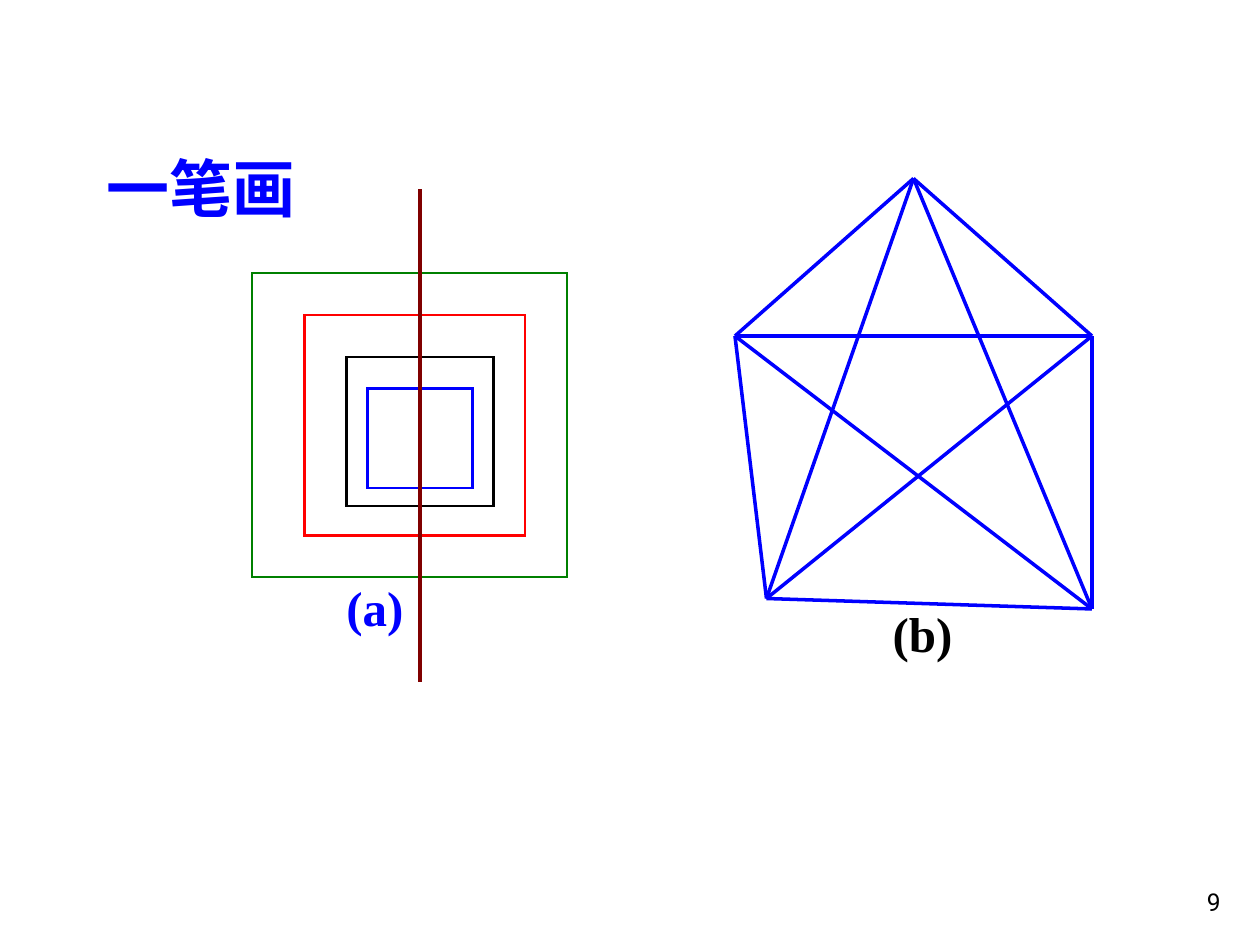
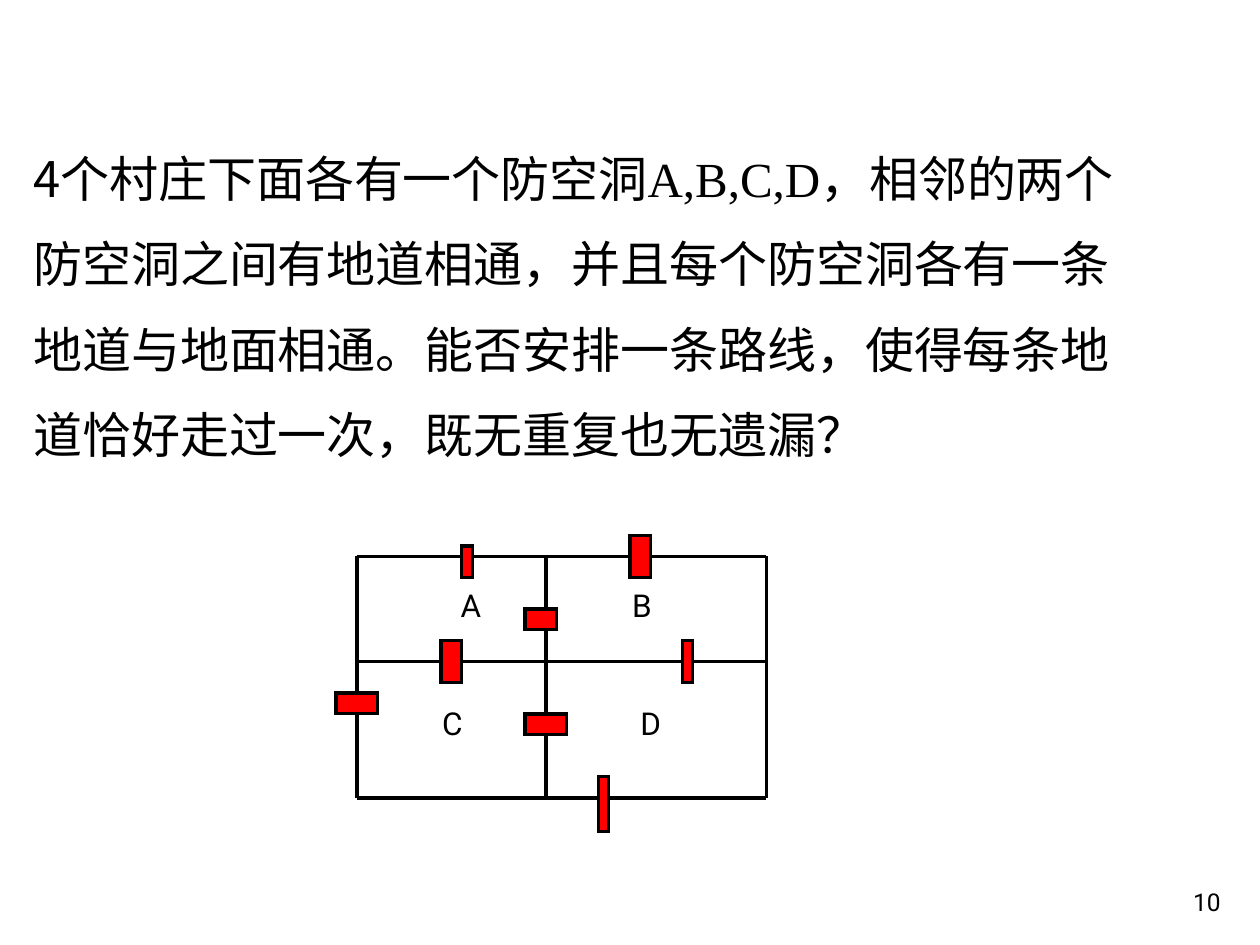
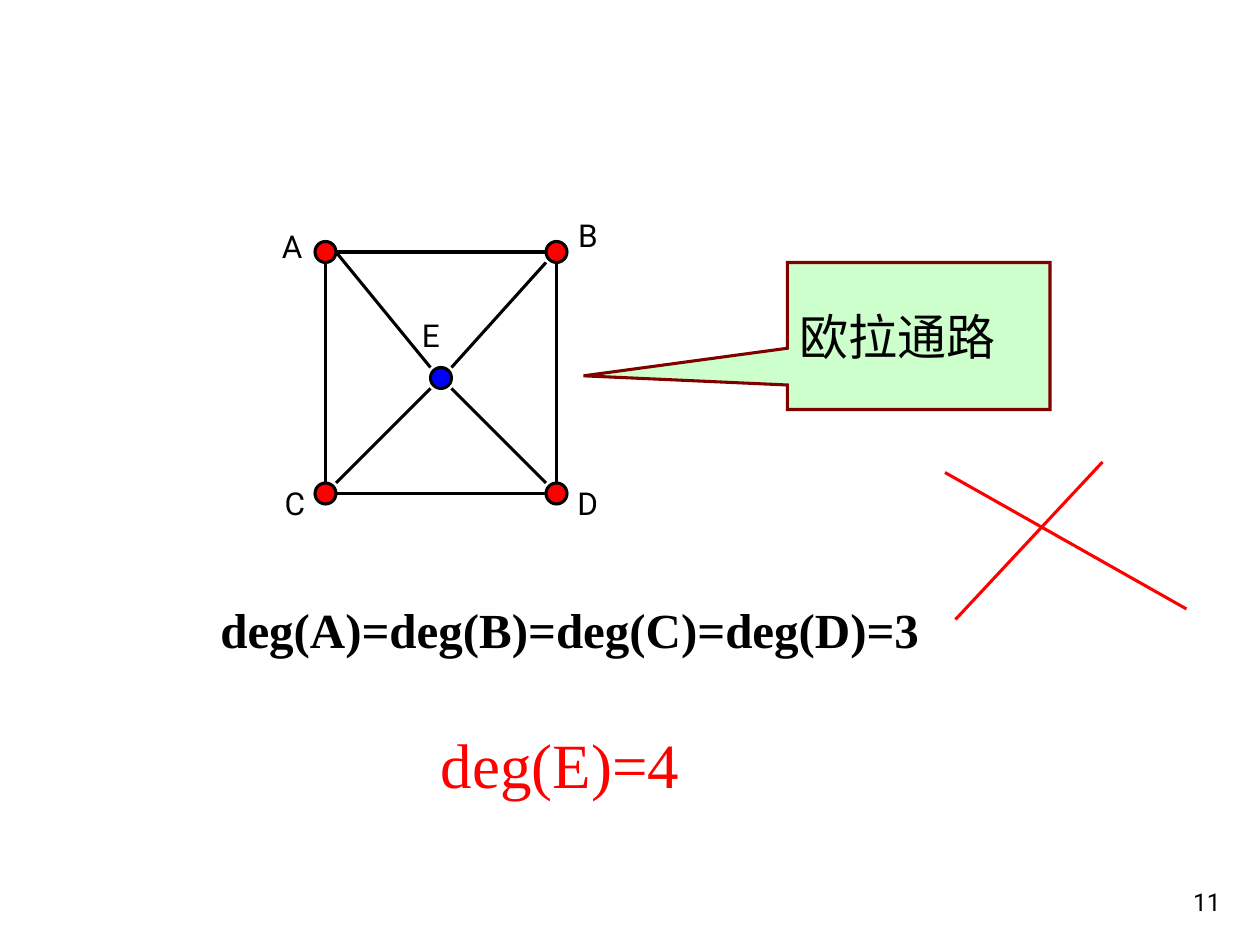
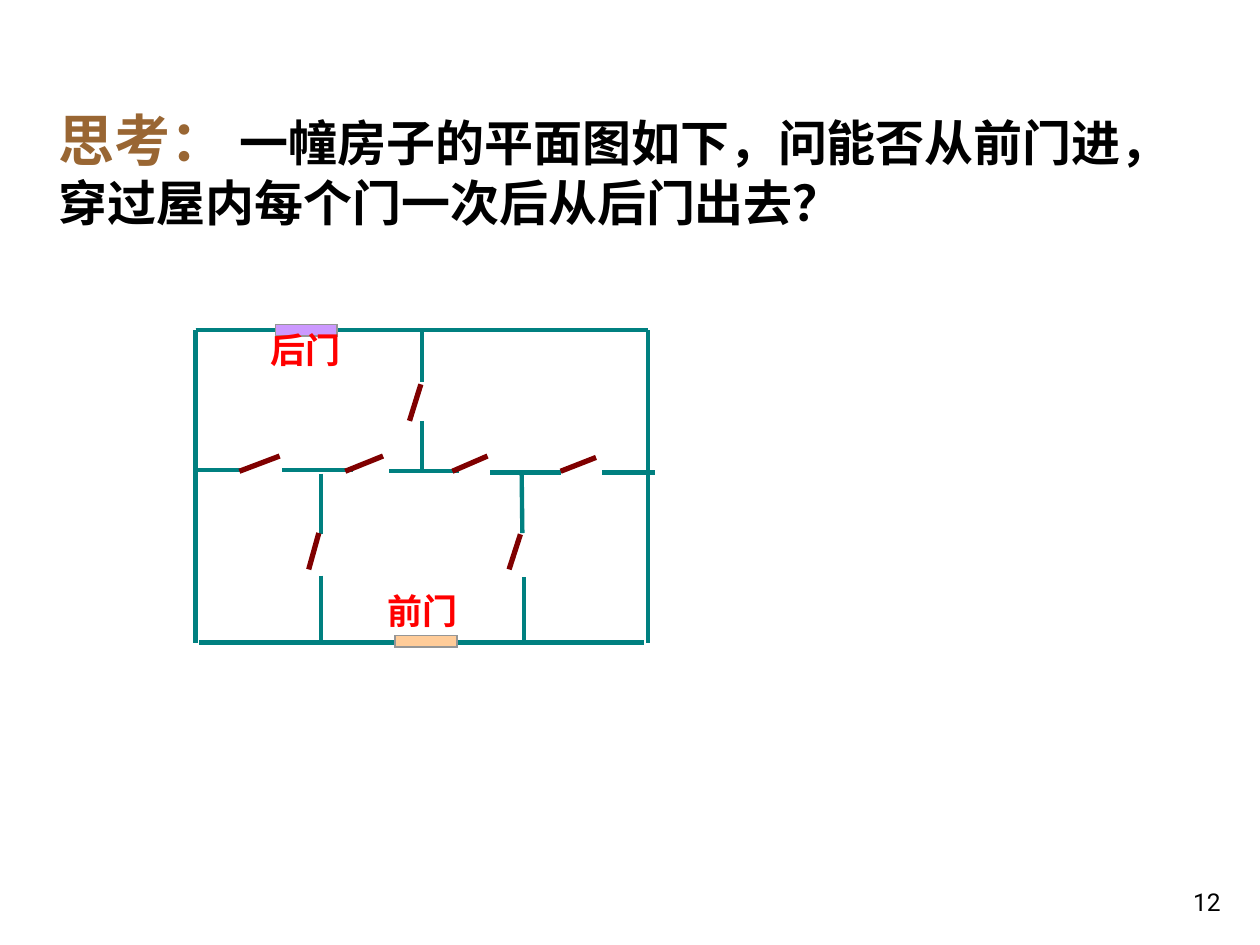
from itertools import combinations

from lxml.etree import SubElement
from pptx import Presentation
from pptx.dml.color import RGBColor
from pptx.enum.shapes import MSO_CONNECTOR, MSO_SHAPE as SHAPE
from pptx.enum.text import MSO_ANCHOR as ANCHOR, PP_ALIGN as ALIGN
from pptx.oxml.ns import qn
from pptx.util import Pt

COLORS = {
    "black": "000000", "blue": "0000FF", "red": "FF0000", "green": "008000",
    "maroon": "800000", "teal": "008080", "brown": "996633", "mint": "CCFFCC",
    "peach": "FFCC99", "violet": "CC99FF", "gray": "969696",
}
C = {name: RGBColor.from_string(value) for name, value in COLORS.items()}
SANS, CJK, SERIF = "Roboto", "Noto Sans CJK SC", "Times New Roman"

prs = Presentation()
prs.slide_width, prs.slide_height = Pt(720), Pt(540)


def add_box(s, box, paras=(), kind=None, fill=None, line=None, width=1.75, wrap=True):
    """Add a text box or a preset shape; each run is (text, font, size, color, bold)."""
    box = [Pt(v) for v in box]
    if kind is None:
        sp = s.shapes.add_textbox(*box)
    else:
        sp = s.shapes.add_shape(kind, *box)
        sp.shadow.inherit = False
        sp.line.color.rgb = C[line]
        sp.line.width = Pt(width)
        SubElement(sp._element.spPr.find(qn("a:ln")), qn("a:miter")).set("lim", "800000")
        if fill:
            sp.fill.solid()
            sp.fill.fore_color.rgb = C[fill]
        else:
            sp.fill.background()
    tf = sp.text_frame
    tf.word_wrap = wrap
    for i, runs in enumerate(paras):
        p = tf.add_paragraph() if i else tf.paragraphs[0]
        p.alignment = ALIGN.LEFT
        for text, font, size, color, bold in runs:
            r = p.add_run()
            r.text = text
            r.font.name, r.font.size, r.font.bold = font, Pt(size), bold
            r.font.color.rgb = C[color]
            SubElement(r.font._element, qn("a:ea")).set("typeface", CJK)
    return sp


def add_line(s, x1, y1, x2, y2, color="black", width=1.75):
    c = s.shapes.add_connector(MSO_CONNECTOR.STRAIGHT, Pt(x1), Pt(y1), Pt(x2), Pt(y2))
    c.line.color.rgb = C[color]
    c.line.width = Pt(width)
    SubElement(c._element.spPr, qn("a:effectLst"))
    return c


# Slide 1: one-stroke drawings
s = prs.slides.add_slide(prs.slide_layouts[6])
add_box(s, (54, 82, 252, 50.4), [[("一笔画", SANS, 36, "blue", True)]])

# Nested squares cut by a vertical line
for color, box in [
    ("green", (144, 156, 180, 174)),
    ("red", (174, 180, 126, 126)),
    ("black", (198, 204, 84, 85)),
    ("blue", (210, 222, 60, 57)),
]:
    add_box(s, box, kind=SHAPE.RECTANGLE, line=color, width=1.25)
add_line(s, 240, 108, 240, 390, "maroon", 2.25)
add_box(s, (190.8, 326.2, 48, 41), [[("(a)", SERIF, 28, "blue", True)]], wrap=False)

# Pentagon with every pair of corners joined
corners = [(420, 192), (522, 102), (624, 192), (624, 348), (438, 342)]
for start, end in combinations(corners, 2):
    add_line(s, *start, *end, "blue", 2)
add_box(s, (503, 341.3, 50, 41), [[("(b)", SERIF, 28, "black", True)]], wrap=False)

# Slide 2: four shelters
s = prs.slides.add_slide(prs.slide_layouts[6])
question = [
    [("4个村庄下面各有一个防空洞", CJK), ("A,B,C,D", SERIF), ("，相邻的两个", CJK)],
    [("防空洞之间有地道相通，并且每个防空洞各有一条", CJK)],
    [("地道与地面相通。能否安排一条路线，使得每条地", CJK)],
    [("道恰好走过一次，既无重复也无遗漏？", CJK)],
]
sp = add_box(s, (12, 66.2, 678, 202.3),
             [[(*run, 28, "black", False) for run in runs] for runs in question])
for p in sp.text_frame.paragraphs:
    p.line_spacing = 1.45

# Walls, with gaps for the tunnels
walls = {
    "top left": (204, 318, 264, 318),
    "top middle": (270, 318, 360, 318),
    "top right": (372, 318, 438, 318),
    "left upper": (204, 318, 204, 396),
    "left lower": (204, 408, 204, 456),
    "bottom left": (204, 456, 348, 456),
    "right": (438, 318, 438, 456),
    "bottom right": (348, 456, 438, 456),
    "A|B upper": (312, 318, 312, 348),
    "A|B lower": (312, 360, 312, 378),
    "middle left": (204, 378, 252, 378),
    "middle": (264, 378, 390, 378),
    "middle right": (396, 378, 438, 378),
    "C|D upper": (312, 378, 312, 408),
    "C|D lower": (312, 420, 312, 456),
}
walls = {name: add_line(s, *ends) for name, ends in walls.items()}

tunnels = {
    "A": (264, 312, 6, 18),
    "B": (360, 306, 12, 24),
    "AC": (252, 366, 12, 24),
    "AB": (300, 348, 18, 12),
    "BD": (390, 366, 6, 24),
    "D": (342, 444, 6, 31),
    "C": (192, 396, 24, 12),
    "CD": (300, 408, 24, 12),
}
tunnels = {name: add_box(s, box, kind=SHAPE.RECTANGLE, fill="red", line="black")
           for name, box in tunnels.items()}

# Walls that meet a tunnel at the middle of its side
for before, tunnel, after, sides in [
    ("top middle", "B", "top right", (1, 3)),
    ("middle left", "AC", "middle", (1, 3)),
    ("middle", "BD", "middle right", (1, 3)),
    ("left upper", "C", "left lower", (0, 2)),
    ("C|D upper", "CD", "C|D lower", (0, 2)),
]:
    walls[before].end_connect(tunnels[tunnel], sides[0])
    walls[after].begin_connect(tunnels[tunnel], sides[1])

for name, x, y in [("A", 256.2, 331.2), ("B", 354.2, 331.2),
                   ("C", 245.5, 398.9), ("D", 358.8, 398.9)]:
    add_box(s, (x, y, 26, 28.8), [[(name, SANS, 18, "black", False)]], wrap=False)

# Slide 3: the shelters as a graph
s = prs.slides.add_slide(prs.slide_layouts[6])
for x, y, color in [(180, 138, "red"), (312, 138, "red"), (180, 276, "red"),
                    (312, 276, "red"), (246, 210, "blue")]:
    add_box(s, (x, y, 12, 12), kind=SHAPE.OVAL, fill=color, line="black")
for edge in [
    (192, 144, 312, 144), (186, 150, 186, 276), (192, 282, 312, 282), (318, 150, 318, 276),
    (192, 144, 246, 210), (258, 222, 312, 276), (192, 276, 246, 222), (258, 210, 312, 150),
]:
    add_line(s, *edge)
for name, x, y in [("A", 154, 126), ("B", 323.2, 120.2), ("C", 155.6, 272.9),
                   ("D", 322.8, 272.9), ("E", 234, 177.1)]:
    add_box(s, (x, y, 26, 28.8), [[(name, SANS, 18, "black", False)]], wrap=False)

# Callout, crossed out below
sp = add_box(s, (450, 150, 150, 84), [[("欧拉通路", SANS, 28, "black", False)]],
             kind=SHAPE.RECTANGULAR_CALLOUT, fill="mint", line="maroon")
sp.adjustments[0], sp.adjustments[1] = -1.277, 0.271
sp.text_frame.vertical_anchor = ANCHOR.MIDDLE
add_line(s, 540, 270, 678, 348, "red")
add_line(s, 546, 354, 630, 264, "red")

# Degrees
add_box(s, (118.8, 339.1, 529.2, 41),
        [[("deg(A)=deg(B)=deg(C)=deg(D)=3", SERIF, 28, "black", True)]])
add_box(s, (244.8, 411.1, 241.2, 50.4), [[("deg(E)=4", SERIF, 36, "red", False)]])

# Slide 4: house plan
s = prs.slides.add_slide(prs.slide_layouts[6])
add_box(s, (26.6, 56.9, 662.4, 79.2), [[
    ("思考： ", CJK, 32, "brown", True),
    ("一幢房子的平面图如下，问能否从前门进，穿过屋内每个门一次后从后门出去？",
     CJK, 28, "black", True),
]])

# Outer and inner walls
left, top, right, bottom = 111.8, 188.6, 370.3, 367.2
for wall in [
    (left, top, right, top), (right, top, right, bottom),
    (left, top, left, bottom), (113.8, bottom, 367.9, bottom),
    (241.2, top, 241.2, 218.2), (241.2, 240.5, 241.2, 270),
    (112.3, 268.6, 137.5, 268.6), (161.3, 268.6, 201.6, 268.6),
    (222.5, 269.3, 262.1, 269.3), (280.1, 270, 320.4, 270), (344.2, 270, 374.4, 270),
    (183.6, 270.7, 183.6, 305.3), (183.6, 329, 183.6, 366.5),
    (298.1, 270.7, 298.5, 304.6), (299.5, 329.8, 299.5, 365.8),
]:
    add_line(s, *wall, "teal", 2.5)
add_line(s, left, top, 163.4, top, "teal")

# Front and back doors
for name, color, door, label in [
    ("前门", "peach", (225.7, 363.2), (214.6, 333.4)),
    ("后门", "violet", (157.5, 185.4), (147.6, 184.3)),
]:
    add_box(s, (*door, 35.3, 6.5), kind=SHAPE.RECTANGLE, fill=color, line="gray", width=1)
    add_box(s, (*label, 56, 31.7), [[(name, CJK, 20, "red", True)]])

# Inner doors standing open
for door in [
    (182.2, 304.6, 176.4, 325.4), (240.5, 219.6, 234, 240.5), (297.4, 305.3, 290.9, 325.4),
    (159.8, 260.6, 136.8, 269.3), (218.9, 260.6, 197.3, 269.3),
    (278.6, 260.6, 258.5, 269.3), (340.6, 261.4, 320.4, 269.3),
]:
    add_line(s, *door, "maroon", 3)

# Page numbers
for number, s in enumerate(prs.slides, start=9):
    sp = add_box(s, (554.6, 491.4, 150, 36), [[(str(number), SANS, 14, "black", False)]])
    sp.text_frame.vertical_anchor = ANCHOR.BOTTOM
    sp.text_frame.paragraphs[0].alignment = ALIGN.RIGHT

prs.save("out.pptx")
